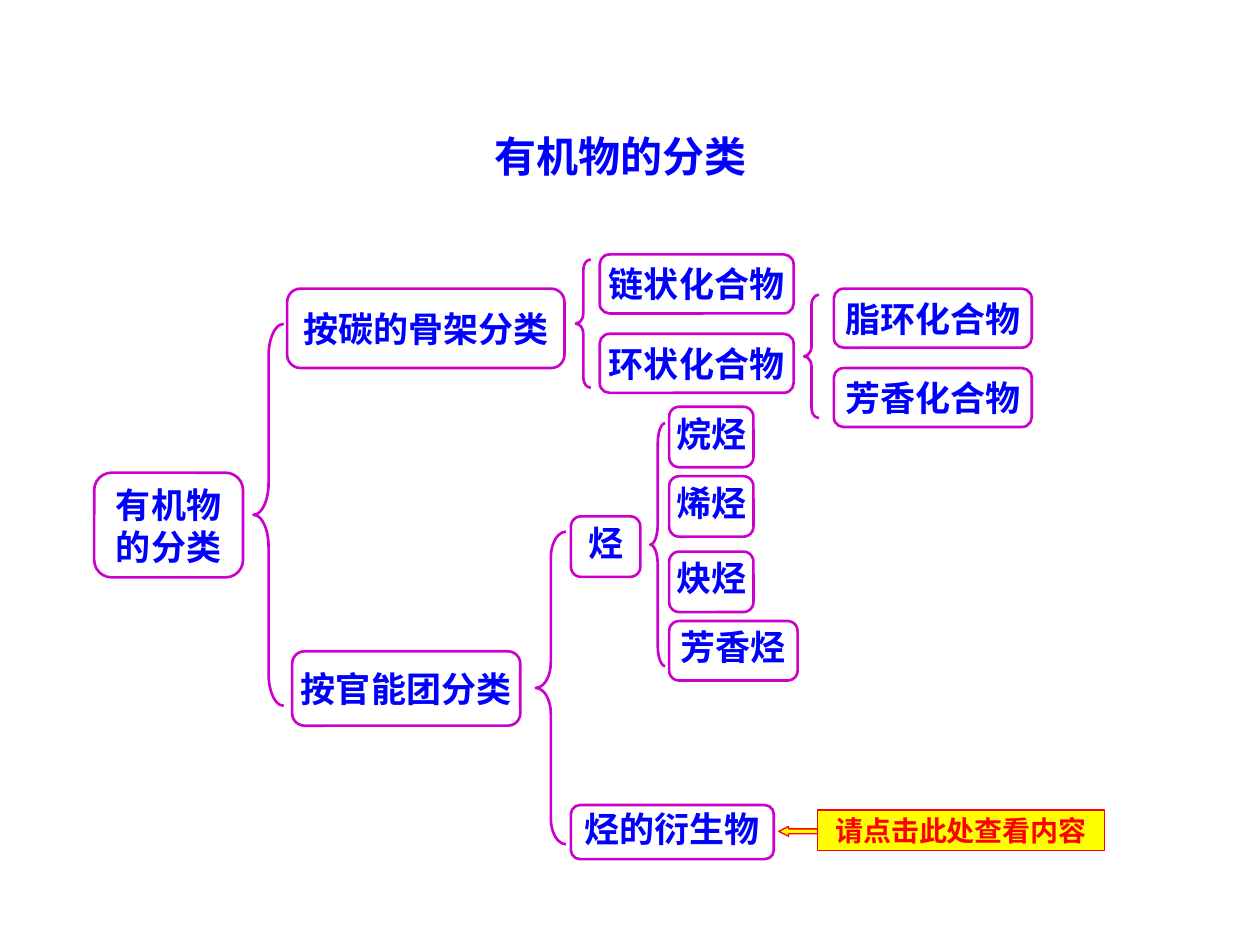
from dataclasses import dataclass

from pptx import Presentation
from pptx.dml.color import RGBColor as RGB
from pptx.enum.shapes import MSO_SHAPE as SHAPE
from pptx.enum.text import MSO_ANCHOR as ANCHOR, MSO_AUTO_SIZE as AUTO, PP_ALIGN as ALIGN
from pptx.util import Cm, Pt


@dataclass(frozen=True)
class Theme:
    text: RGB = RGB(0x00, 0x00, 0xFF)
    outline: RGB = RGB(0xCC, 0x00, 0xCC)
    note: RGB = RGB(0xFF, 0x00, 0x00)
    note_fill: RGB = RGB(0xFF, 0xFF, 0x00)
    font: str = "Times New Roman"
    note_font: str = "Karla"
    title_size: int = 24
    node_size: int = 20
    note_size: int = 16
    outline_width: float = 1.5
    note_width: float = 0.75


THEME = Theme()


def set_attrs(obj, values):
    for name, value in values.items():
        setattr(obj, name, value)


def write(sp, text, size, color=THEME.text, font=THEME.font, spacing=1.0, wrap=False):
    tf = sp.text_frame
    tf.text = text
    set_attrs(tf, {
        "word_wrap": wrap, "auto_size": AUTO.NONE, "vertical_anchor": ANCHOR.MIDDLE,
        "margin_left": Cm(0.25), "margin_right": Cm(0.25),
        "margin_top": Cm(0.13), "margin_bottom": Cm(0.13),
    })
    for p in tf.paragraphs:
        set_attrs(p, {"alignment": ALIGN.CENTER, "line_spacing": spacing, "space_before": Pt(0)})
        set_attrs(p.font, {"name": font, "size": Pt(size), "bold": True})
        p.font.color.rgb = color


def add_part(shapes, kind, box, line=THEME.outline, width=THEME.outline_width, fill=None):
    sp = shapes.add_shape(kind, *(Cm(v) for v in box))
    sp.shadow.inherit = False
    if fill is None:
        sp.fill.background()
    else:
        sp.fill.solid()
        sp.fill.fore_color.rgb = fill
    sp.line.color.rgb = line
    sp.line.width = Pt(width)
    return sp


def add_node(shapes, text, box, spacing=1.0):
    write(add_part(shapes, SHAPE.ROUNDED_RECTANGLE, box), text, THEME.node_size, spacing=spacing)


def add_brace(shapes, box):
    # Each curl takes one twelfth of the brace height
    sp = add_part(shapes, SHAPE.LEFT_BRACE, box)
    sp.adjustments[0] = box[3] / 12 / box[2]


def add_title(slide, text, box):
    sp = slide.shapes.title
    set_attrs(sp, dict(zip(("left", "top", "width", "height"), map(Cm, box))))
    write(sp, text, THEME.title_size, wrap=True)


def add_root(shapes, x, y):
    add_node(shapes, "有机物\n的分类", (x, y + 3, 3, 2.11))
    add_brace(shapes, (x + 3.21, y, 0.61, 7.7))


def add_skeleton_branch(shapes, x, y):
    add_node(shapes, "按碳的骨架分类", (x, y + 0.69, 5.59, 1.6))
    # Two levels of paired compounds, each behind a brace
    levels = [
        (6.3, 0, 3.91, 5.82, 0.1, 2.59, ("链状化合物", "环状化合物")),
        (11.02, 0.69, 3.99, 10.42, 0.81, 2.49, ("脂环化合物", "芳香化合物")),
    ]
    for dx, dy, w, brace_dx, brace_dy, brace_h, names in levels:
        add_brace(shapes, (x + brace_dx, y + brace_dy, 0.3, brace_h))
        for i, name in enumerate(names):
            add_node(shapes, name, (x + dx, y + dy + 1.6 * i, w, 1.19))


def add_group_branch(shapes, x, y):
    add_node(shapes, "按官能团分类", (x, y + 4.93, 4.6, 1.5))
    add_brace(shapes, (x + 4.91, y + 2.52, 0.61, 6.3))
    add_brace(shapes, (x + 7.22, y + 0.33, 0.3, 4.9))
    nodes = [
        ("烃", 5.62, 2.21, 1.4, 1.22),
        ("烷烃", 7.6, 0, 1.7, 1.22),
        ("烯烃", 7.6, 1.4, 1.7, 1.22),
        ("炔烃", 7.6, 2.92, 1.7, 1.22),
        ("芳香烃", 7.6, 4.32, 2.59, 1.2),
        ("烃的衍生物", 5.62, 8.03, 4.09, 1.09),
    ]
    for name, dx, dy, w, h in nodes:
        add_node(shapes, name, (x + dx, y + dy, w, h), spacing=0.8)


def add_note(shapes, x, y):
    style = {"line": THEME.note, "width": THEME.note_width, "fill": THEME.note_fill}
    group = shapes.add_group_shape().shapes
    sp = add_part(group, SHAPE.RECTANGLE, (x + 0.78, y, 5.79, 0.81), **style)
    write(sp, "请点击此处查看内容", THEME.note_size, THEME.note, THEME.note_font)
    arrow = add_part(group, SHAPE.LEFT_ARROW, (x, y + 0.33, 0.78, 0.2), **style)
    arrow.adjustments[1] = 0.99


def main():
    prs = Presentation()
    prs.slide_width, prs.slide_height = Cm(25.4), Cm(19.05)
    slide = prs.slides.add_slide(prs.slide_layouts[5])
    shapes = slide.shapes
    add_title(slide, "有机物的分类", (2.49, 2.51, 20.02, 1.27))
    add_root(shapes, 1.9, 6.53)
    add_skeleton_branch(shapes, 5.79, 5.13)
    add_group_branch(shapes, 5.89, 8.2)
    add_note(shapes, 15.7, 16.33)
    prs.save("out.pptx")


if __name__ == "__main__":
    main()
